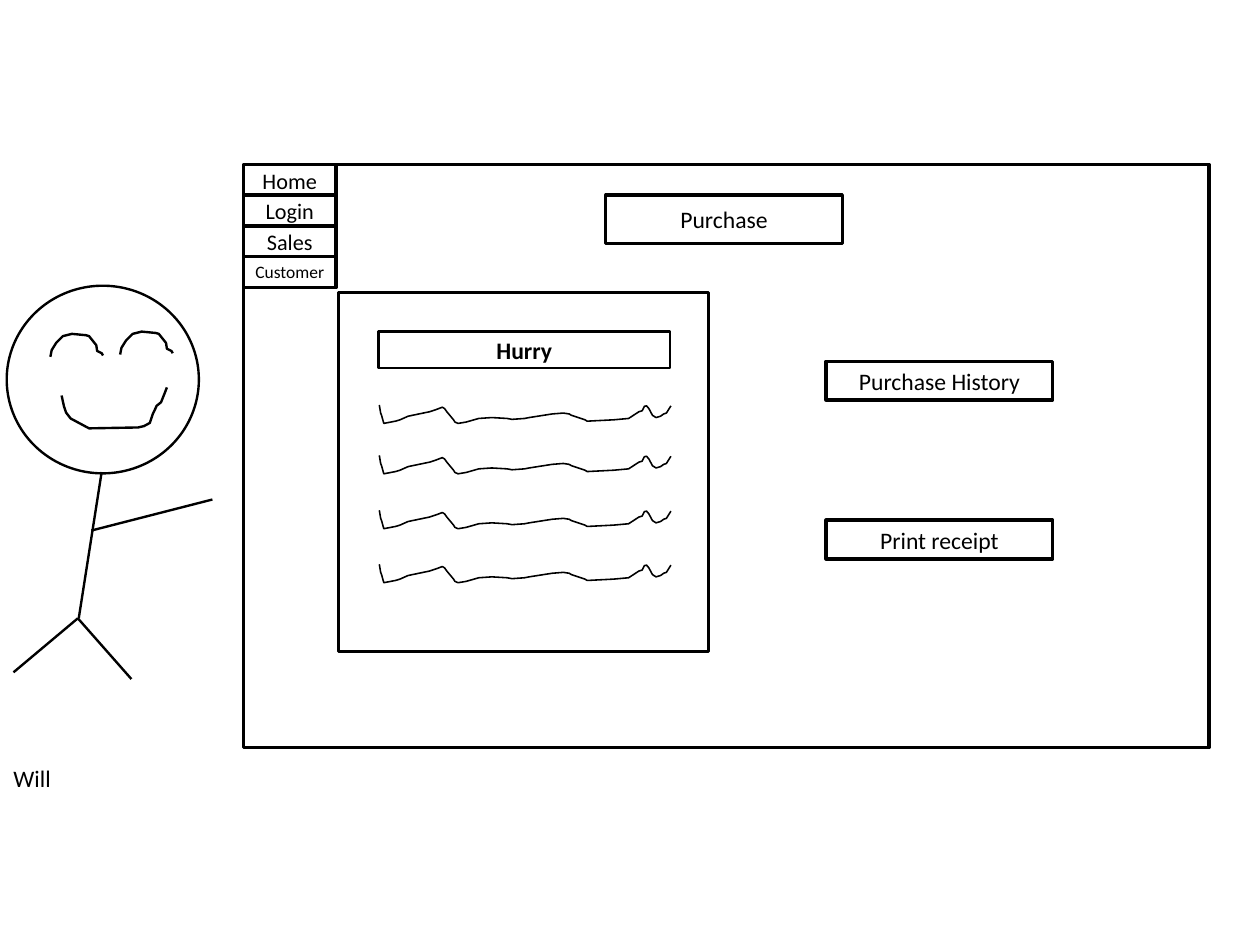
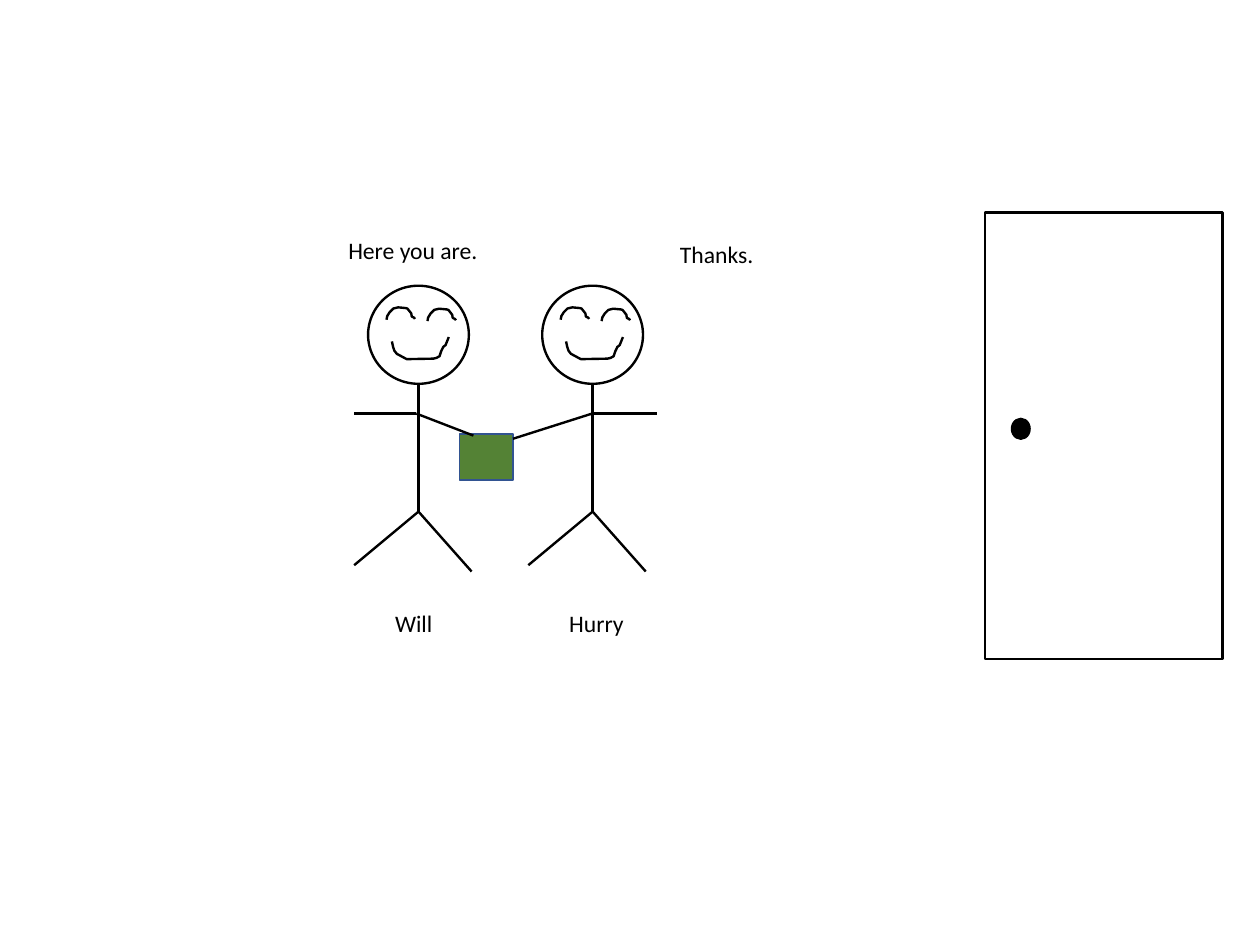
"""Build two storyboard slides: a purchase screen and a hand-over at the door."""
import pptx
import pptx.util
import pptx.dml.color
import pptx.enum.shapes
import pptx.enum.text
import pptx.oxml.ns
from lxml import etree

Cm = pptx.util.Cm
Pt = pptx.util.Pt
RGBColor = pptx.dml.color.RGBColor
MSO_SHAPE = pptx.enum.shapes.MSO_SHAPE
MSO_CONNECTOR = pptx.enum.shapes.MSO_CONNECTOR
PP_ALIGN = pptx.enum.text.PP_ALIGN
MSO_ANCHOR = pptx.enum.text.MSO_ANCHOR

BLACK = RGBColor(0x00, 0x00, 0x00)
WHITE = RGBColor(0xFF, 0xFF, 0xFF)
GREEN = RGBColor(0x54, 0x82, 0x35)
BLUE = RGBColor(0x32, 0x54, 0x91)
FONT = "Calibri"
BODY = 14.9
THIN, PEN, THICK = 1, 1.5, 2.25

EYE = [(0, 51), (3, 36), (13, 20), (28, 5), (48, 0), (79, 3), (86, 5),
       (102, 25), (104, 38), (114, 43), (117, 48)]
MOUTH = [(0, 18), (5, 41), (10, 56), (20, 69), (33, 76), (61, 91), (170, 89),
         (183, 86), (196, 79), (203, 58), (208, 48), (211, 41), (221, 33),
         (229, 13), (234, 0)]
SCRAWL = [(0, 0), (3, 18), (5, 23), (10, 41), (36, 36), (46, 33), (64, 25),
          (112, 15), (127, 10), (140, 5), (145, 8), (150, 15), (165, 33),
          (168, 38), (175, 41), (193, 38), (221, 30), (250, 28), (284, 30),
          (295, 32), (323, 30), (333, 28), (384, 20), (409, 18), (422, 20),
          (427, 23), (442, 28), (457, 33), (462, 36), (521, 33), (554, 30),
          (577, 15), (584, 13), (589, 3), (594, 2), (599, 8), (607, 23),
          (615, 28), (625, 25), (632, 20), (638, 18), (648, 2)]


def write(shape, text, size=BODY, bold=False):
    """Put one line of text in a shape."""
    frame = shape.text_frame
    frame.text = text
    para = frame.paragraphs[0]
    para.font.name = FONT
    para.font.size = Pt(size)
    para.font.bold = bold
    para.font.color.rgb = BLACK
    return frame, para


def box(slide, left, top, width, height, text="", size=BODY, bold=False,
        weight=THICK, fill=WHITE, line=BLACK, kind=MSO_SHAPE.RECTANGLE):
    """Draw an outlined shape with optional centred text."""
    shape = slide.shapes.add_shape(kind, Cm(left), Cm(top), Cm(width), Cm(height))
    shape.shadow.inherit = False
    shape.fill.solid()
    shape.fill.fore_color.rgb = fill
    shape.line.color.rgb = line
    shape.line.width = Pt(weight)
    if text:
        frame, para = write(shape, text, size, bold)
        frame.margin_left = frame.margin_right = 0
        frame.vertical_anchor = MSO_ANCHOR.MIDDLE
        para.alignment = PP_ALIGN.CENTER


def label(slide, left, top, width, text):
    """Add a free line of text."""
    shape = slide.shapes.add_textbox(Cm(left), Cm(top), Cm(width), Cm(0.89))
    frame, _ = write(shape, text)
    frame.word_wrap = False


def rule(slide, x1, y1, x2, y2):
    """Draw a straight pen line."""
    line = slide.shapes.add_connector(
        MSO_CONNECTOR.STRAIGHT, Cm(x1), Cm(y1), Cm(x2), Cm(y2))
    line.line.color.rgb = BLACK
    line.line.width = Pt(PEN)
    props = line._element.spPr
    etree.SubElement(props, pptx.oxml.ns.qn("a:effectLst"))


def stroke(slide, points, left, top, size=1, weight=PEN):
    """Draw an open hand-drawn line from points in hundredths of a Cm."""
    pen = slide.shapes.build_freeform(*points[0], scale=Cm(0.01) * size)
    pen.add_line_segments(points[1:], close=False)
    shape = pen.convert_to_shape(Cm(left), Cm(top))
    shape.shadow.inherit = False
    shape.fill.background()
    shape.line.color.rgb = BLACK
    shape.line.width = Pt(weight)


def head(slide, left, top, width, height, spots, size=1):
    """Draw a round head with two eyes and a mouth at the given offsets."""
    box(slide, left, top, width, height, weight=PEN, kind=MSO_SHAPE.OVAL)
    for points, (dx, dy) in zip((EYE, EYE, MOUTH), spots):
        stroke(slide, points, left + dx, top + dy, size)


def person(slide, left):
    """Draw a small stick figure without arms."""
    head(slide, left, 6.35, 2.24, 2.18,
         [(0.41, 0.48), (1.32, 0.51), (0.53, 1.14)], 0.54)
    mid, hip = left + 1.12, 11.37
    rule(slide, mid, 8.53, mid, hip)
    rule(slide, mid, hip, mid - 1.43, 12.56)
    rule(slide, mid, hip, mid + 1.18, 12.7)


def screen(slide):
    """Draw Will pointing at the purchase screen."""
    head(slide, 0.15, 6.35, 4.27, 4.17,
         [(0.97, 1.07), (2.52, 1.02), (1.22, 2.26)])
    for ends in ((2.26, 10.49, 1.75, 13.74), (2.03, 11.79, 4.72, 11.1),
                 (1.73, 13.74, 0.3, 14.94), (1.73, 13.74, 2.92, 15.09)):
        rule(slide, *ends)
    label(slide, 0.05, 16.84, 1.35, "Will")
    box(slide, 5.41, 3.66, 21.46, 12.95)
    box(slide, 13.46, 4.34, 5.26, 1.07, "Purchase")
    box(slide, 7.52, 6.5, 8.23, 7.98)
    for top, text in ((8.03, "Purchase History"), (11.56, "Print receipt")):
        box(slide, 18.36, top, 5.03, 0.86, text)
    for top in (9, 10.12, 11.34, 12.54):
        stroke(slide, SCRAWL, 8.43, top, weight=THIN)
    box(slide, 8.41, 7.37, 6.48, 0.81, "Hurry", bold=True, weight=PEN)
    menu = (("Home", 14), ("Login", 14), ("Sales", 14), ("Customer", 11))
    for row, (text, size) in enumerate(menu):
        box(slide, 5.41, 3.66 + 0.68 * row, 2.06, 0.69, text, size)


def door(slide):
    """Draw Will handing a parcel to Hurry beside a door."""
    person(slide, 12.05)
    rule(slide, 13.17, 9.19, 14.6, 9.19)
    label(slide, 12.4, 13.4, 1.73, "Hurry")
    label(slide, 7.49, 5.11, 3.4, "Here you are.")
    box(slide, 21.89, 4.72, 5.28, 9.93, weight=PEN)
    box(slide, 22.48, 9.3, 0.41, 0.46, weight=THIN, fill=BLACK, kind=MSO_SHAPE.OVAL)
    label(slide, 14.86, 5.21, 2.16, "Thanks.")
    person(slide, 8.18)
    rule(slide, 7.87, 9.19, 9.25, 9.19)
    label(slide, 8.53, 13.4, 1.35, "Will")
    box(slide, 10.21, 9.65, 1.19, 1.02, weight=THIN, fill=GREEN, line=BLUE)
    rule(slide, 9.25, 9.19, 10.52, 9.68)
    rule(slide, 11.4, 9.75, 13.16, 9.19)


def main():
    """Build and save the deck."""
    deck = pptx.Presentation()
    deck.slide_width, deck.slide_height = Cm(28), Cm(21)
    for draw in (screen, door):
        draw(deck.slides.add_slide(deck.slide_layouts[6]))
    deck.save("out.pptx")


if __name__ == "__main__":
    main()
